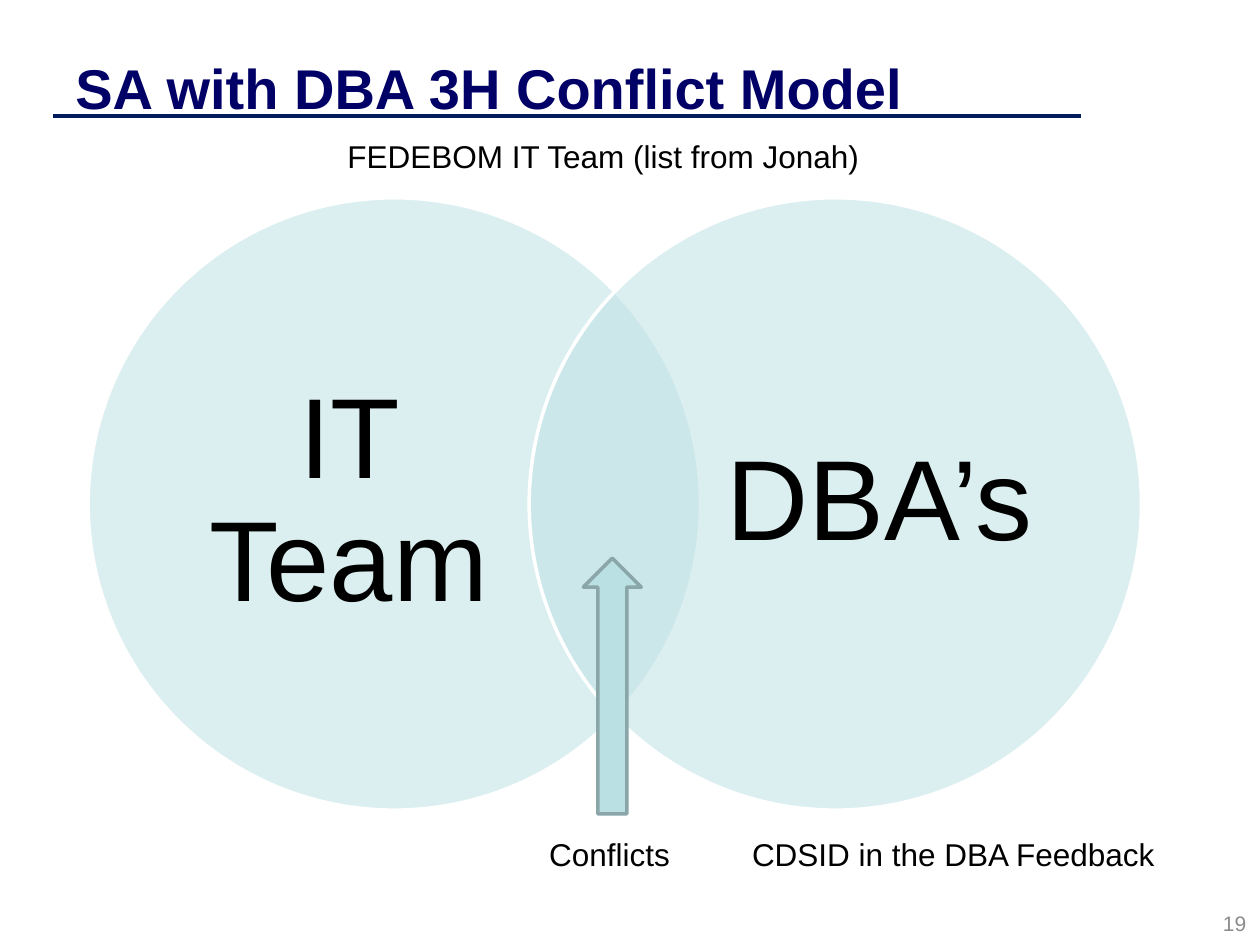
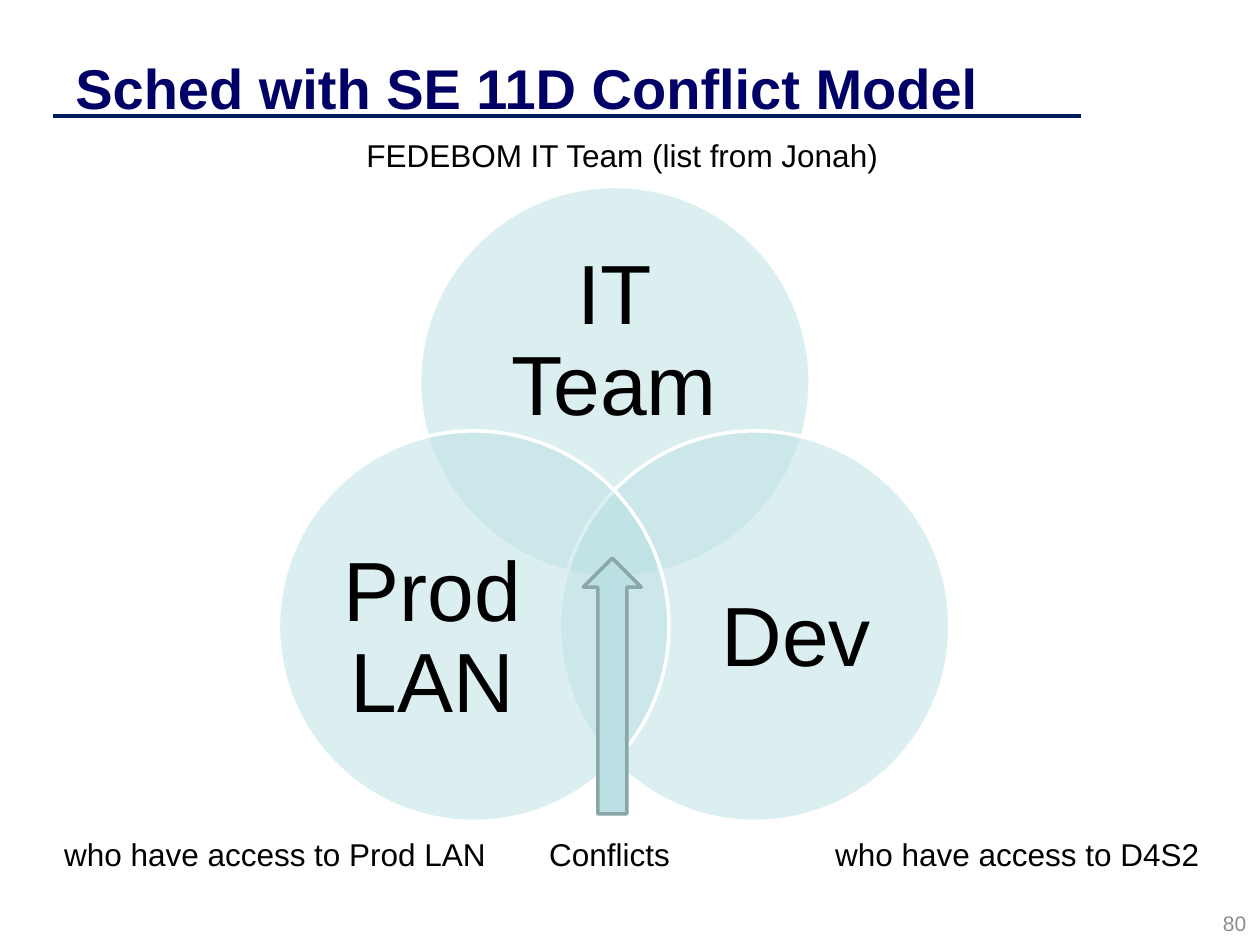
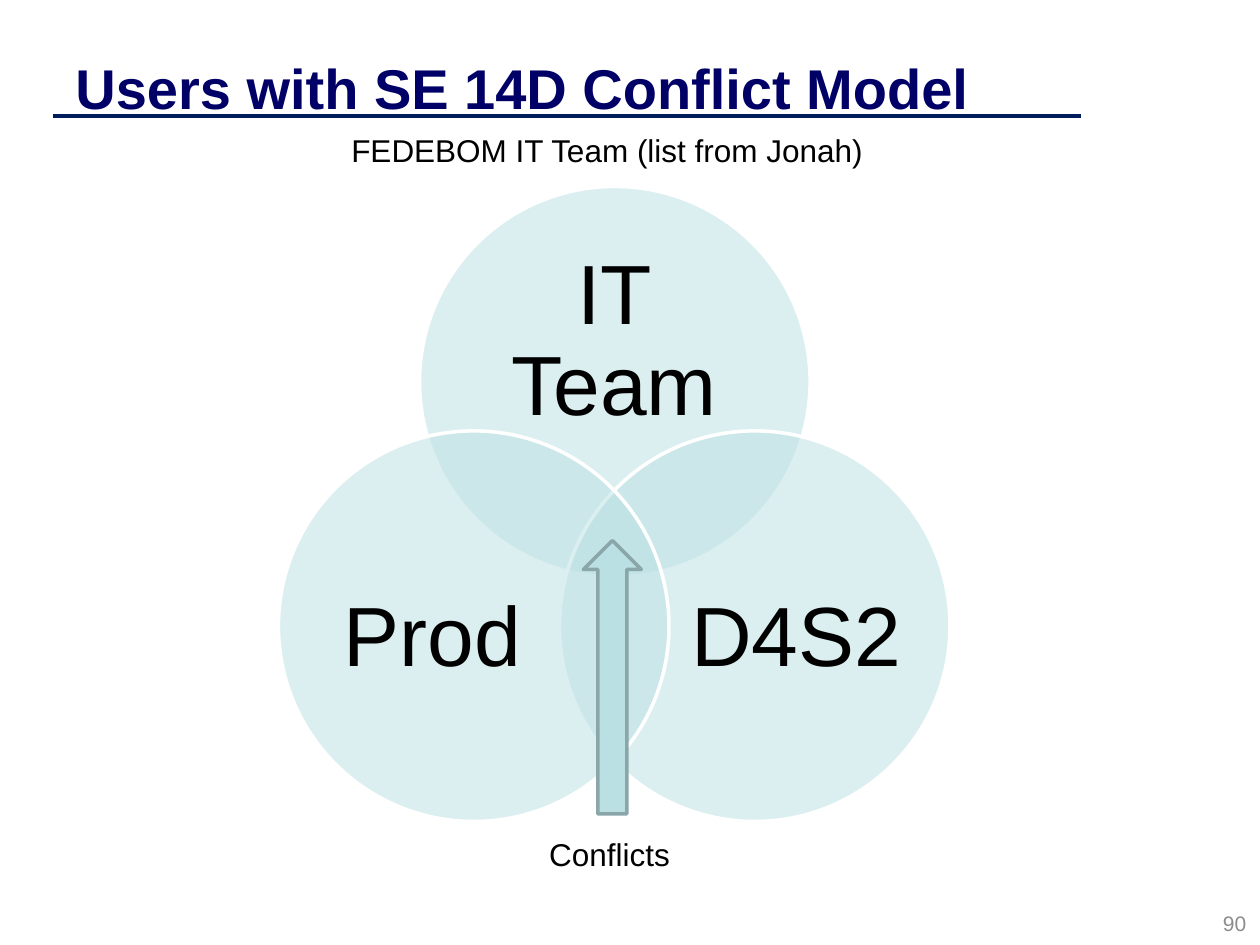
from dataclasses import dataclass

from lxml import etree
from pptx import Presentation
from pptx.dml.color import RGBColor
from pptx.enum import shapes as kinds, text as txt
from pptx.oxml import ns
from pptx.slide import Slide
from pptx.util import Inches, Pt

FONT = "Arial"
NAVY = RGBColor(0x00, 0x00, 0x66)
RULE = RGBColor(0x00, 0x1C, 0x5A)
AQUA = RGBColor(0xBB, 0xE0, 0xE3)
TEAL = RGBColor(0x8A, 0xA6, 0xA8)
GRAY = RGBColor(0x8C, 0x8C, 0x8C)
WHITE = RGBColor(0xFF, 0xFF, 0xFF)
BLACK = RGBColor(0x00, 0x00, 0x00)
LEFT, MID, RIGHT = txt.PP_ALIGN.LEFT, txt.PP_ALIGN.CENTER, txt.PP_ALIGN.RIGHT
NOTE_TOP = 6.58


@dataclass(frozen=True)
class Box:
    left: float
    top: float
    width: float
    height: float

    def size(self) -> tuple:
        return tuple(Inches(v) for v in (self.left, self.top, self.width, self.height))


@dataclass(frozen=True)
class Ring:
    disc: Box
    label: Box


@dataclass(frozen=True)
class Venn:
    rings: tuple[Ring, ...]
    points: int


@dataclass(frozen=True)
class Note:
    words: str
    left: float
    top: float
    width: float


@dataclass(frozen=True)
class Model:
    title: str
    number: str
    venn: Venn
    teams: tuple[str, ...]
    tip: float
    notes: tuple[Note, ...]


def head(left: float, top: float) -> Note:
    return Note("FEDEBOM IT Team (list from Jonah)", left, top, 4.37)


PAIR = Venn((
    Ring(Box(0.7, 1.57, 4.86, 4.86), Box(1.37, 2.14, 2.8, 3.71)),
    Ring(Box(4.2, 1.57, 4.86, 4.86), Box(5.58, 2.14, 2.8, 3.71)),
), 65)
TRIO = Venn((
    Ring(Box(3.33, 1.48, 3.1, 3.1), Box(3.74, 2.02, 2.27, 1.4)),
    Ring(Box(4.44, 3.42, 3.1, 3.1), Box(5.39, 4.22, 1.86, 1.71)),
    Ring(Box(2.21, 3.42, 3.1, 3.1), Box(2.5, 4.22, 1.86, 1.71)),
), 48)

MODELS = (
    Model("SA with DBA 3H Conflict Model", "19", PAIR, ("IT Team", "DBA’s"), 4.43,
          (Note("CDSID in the DBA Feedback", 5.87, NOTE_TOP, 3.59), head(2.66, 1.04))),
    Model("Sched with SE 11D Conflict Model", "80", TRIO, ("IT Team", "Dev", "Prod LAN"), 4.43,
          (Note("who have access to D4S2", 6.53, NOTE_TOP, 3.4),
           Note("who have access to Prod LAN", 0.41, NOTE_TOP, 3.85), head(2.81, 1.03))),
    Model("Users with SE 14D Conflict Model", "90", TRIO, ("IT Team", "D4S2", "Prod"), 4.29,
          (head(2.69, 0.99),)),
)


def write(slide: Slide, box: Box, words: str, points: int, color: RGBColor = BLACK,
          align: txt.PP_ALIGN = LEFT, middle: bool = True, bold: bool = False,
          tight: bool = False) -> None:
    frame = slide.shapes.add_textbox(*box.size()).text_frame
    frame.word_wrap = True
    frame.vertical_anchor = txt.MSO_ANCHOR.MIDDLE if middle else txt.MSO_ANCHOR.TOP
    para = frame.paragraphs[0]
    para.alignment = align
    if tight:
        frame.margin_left = frame.margin_right = 0
        frame.margin_top = frame.margin_bottom = 0
        para.line_spacing = 0.9
    run = para.add_run()
    run.text = words
    run.font.name = FONT
    run.font.size = Pt(points)
    run.font.bold = bold
    run.font.color.rgb = color


def draw(slide: Slide, kind: kinds.MSO_SHAPE, box: Box, edge: RGBColor,
         alpha: int = 100) -> None:
    shape = slide.shapes.add_shape(kind, *box.size())
    shape.shadow.inherit = False
    shape.fill.solid()
    shape.fill.fore_color.rgb = AQUA
    shape.line.color.rgb = edge
    shape.line.width = Pt(2)
    if alpha < 100:
        tint = shape.fill._xPr.find(ns.qn("a:solidFill"))[0]
        etree.SubElement(tint, ns.qn("a:alpha")).set("val", str(alpha * 1000))


def frame(slide: Slide, model: Model) -> None:
    rule = slide.shapes.add_connector(kinds.MSO_CONNECTOR.STRAIGHT, Inches(0.42),
                                      Inches(0.92), Inches(8.58), Inches(0.92))
    rule.line.color.rgb = RULE
    rule.line.width = Pt(2)
    etree.SubElement(rule._element.spPr, ns.qn("a:effectLst"))
    write(slide, Box(0.5, 0.3, 8, 0.78), model.title, 32, NAVY, bold=True)
    write(slide, Box(7.66, 7.16, 2.33, 0.34), model.number, 12, GRAY, RIGHT)


def build(slide: Slide, model: Model) -> None:
    frame(slide, model)
    for ring, team in zip(model.venn.rings, model.teams):
        draw(slide, kinds.MSO_SHAPE.OVAL, ring.disc, WHITE, 50)
        write(slide, ring.label, team, model.venn.points, align=MID, tight=True)
    draw(slide, kinds.MSO_SHAPE.UP_ARROW, Box(4.63, model.tip, 0.46, 6.46 - model.tip), TEAL)
    for note in (Note("Conflicts", 4.26, NOTE_TOP, 1.18), *model.notes):
        write(slide, Box(note.left, note.top, note.width, 0.4), note.words, 18, middle=False)


def main() -> None:
    deck = Presentation()
    deck.slide_width = Inches(10)
    deck.slide_height = Inches(7.5)
    for model in MODELS:
        build(deck.slides.add_slide(deck.slide_layouts[6]), model)
    deck.save("out.pptx")


if __name__ == "__main__":
    main()
